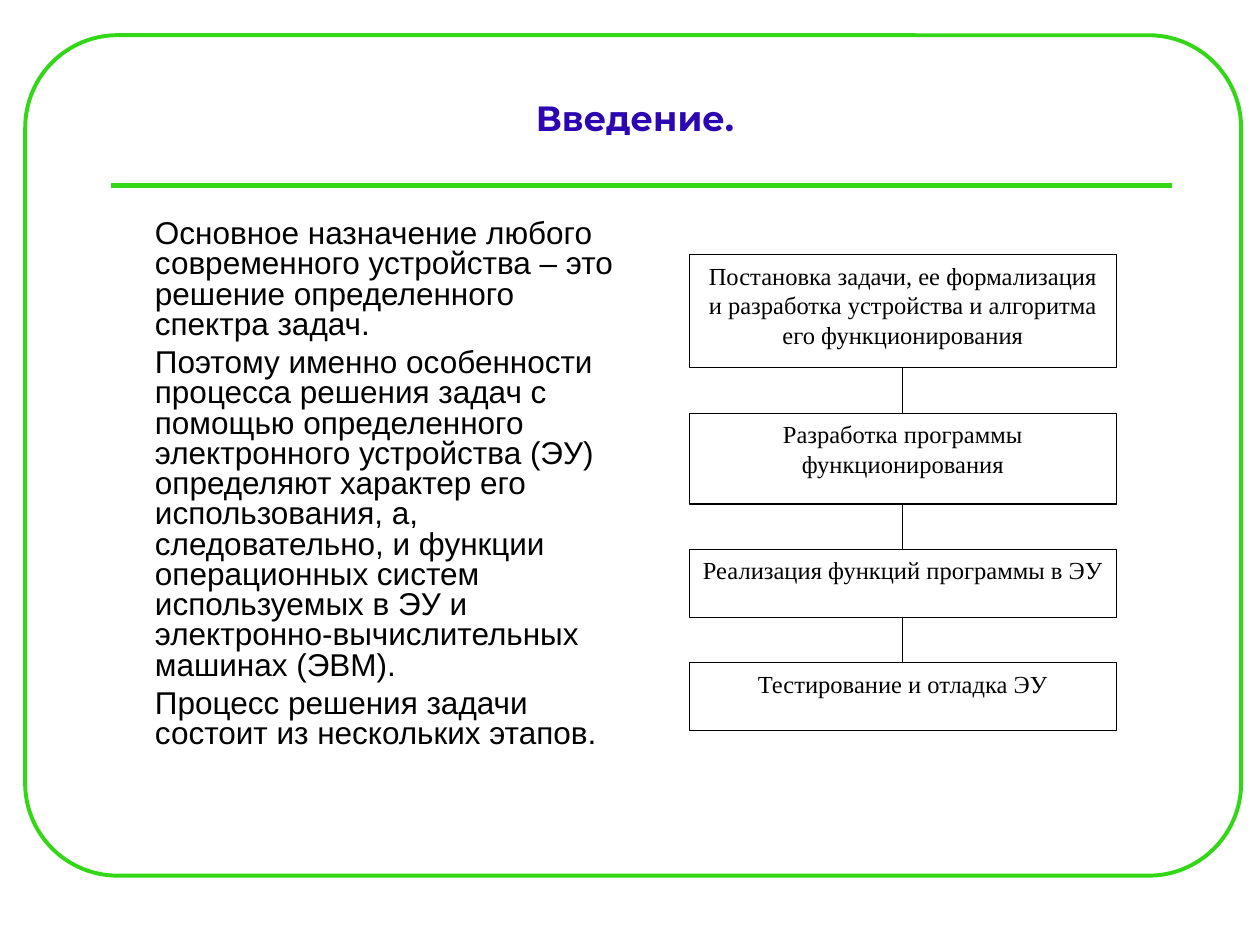
from lxml import etree
from pptx import Presentation
from pptx.dml.color import RGBColor
from pptx.enum import shapes, text
from pptx.oxml.ns import qn
from pptx.util import Inches, Pt

GREEN = RGBColor(0x32, 0xD8, 0x16)
VIOLET = RGBColor(0x2B, 0x06, 0xB2)
BLACK = RGBColor(0, 0, 0)
WHITE = RGBColor(255, 255, 255)


def style(p, font, size, color, bold=False):
    for r in p.runs:
        r.font.name = font
        r.font.size = Pt(size)
        r.font.color.rgb = color
        r.font.bold = bold


def add_line(s, x1, y1, x2, y2, color, width):
    sp = s.shapes.add_connector(shapes.MSO_CONNECTOR.STRAIGHT,
                                Inches(x1), Inches(y1), Inches(x2), Inches(y2))
    sp.line.color.rgb = color
    sp.line.width = Pt(width)
    etree.SubElement(sp._element.spPr, qn("a:effectLst"))


prs = Presentation()
prs.slide_width = Inches(10)
prs.slide_height = Inches(7.5)
s = prs.slides.add_slide(prs.slide_layouts[6])

frame = s.shapes.add_shape(shapes.MSO_SHAPE.ROUNDED_RECTANGLE,
                           Inches(0.2), Inches(0.28), Inches(9.65), Inches(6.67))
frame.adjustments[0] = 0.11
frame.shadow.inherit = False
frame.fill.background()
frame.line.color.rgb = GREEN
frame.line.width = Pt(2.25)
add_line(s, 0.88, 1.47, 9.3, 1.47, GREEN, 3)

title = s.shapes.add_textbox(Inches(0.83), Inches(0.68), Inches(8.42), Inches(0.47))
tf = title.text_frame
tf.word_wrap = True
tf.vertical_anchor = text.MSO_ANCHOR.BOTTOM
tf.text = "Введение."
p = tf.paragraphs[0]
p.alignment = text.PP_ALIGN.CENTER
style(p, "Montserrat", 20, VIOLET, True)

PARAGRAPHS = [
    "Основное назначение любого современного устройства – это решение "
    "определенного спектра задач.",
    "Поэтому именно особенности процесса решения задач с помощью определенного "
    "электронного устройства (ЭУ) определяют характер его использования, а, "
    "следовательно, и функции операционных систем используемых в ЭУ и "
    "электронно-вычислительных машинах (ЭВМ).",
    "Процесс решения задачи состоит из нескольких этапов.",
]
body = s.shapes.add_textbox(Inches(0.75), Inches(1.7), Inches(4.32), Inches(4.42))
tf = body.text_frame
tf.word_wrap = True
tf.margin_left = Inches(0.48)
tf.text = "\n".join(PARAGRAPHS)
for i, p in enumerate(tf.paragraphs):
    p.line_spacing = 0.8
    if i:
        p.space_before = Pt(4.5)
    style(p, "Arial", 18, BLACK)

STEPS = [
    ("Постановка задачи, ее формализация и разработка устройства и алгоритма "
     "его функционирования", 0.9),
    ("Разработка программы функционирования", 0.72),
    ("Реализация функций программы в ЭУ", 0.54),
    ("Тестирование и отладка ЭУ", 0.54),
]
LEFT, WIDTH, GAP = 5.47, 3.39, 0.36
top = 2.02
for i, (label, height) in enumerate(STEPS):
    if i:
        add_line(s, LEFT + WIDTH / 2, top - GAP, LEFT + WIDTH / 2, top, BLACK, 0.75)
    sp = s.shapes.add_shape(shapes.MSO_SHAPE.RECTANGLE, Inches(LEFT), Inches(top),
                            Inches(WIDTH), Inches(height))
    sp.shadow.inherit = False
    sp.fill.solid()
    sp.fill.fore_color.rgb = WHITE
    sp.line.color.rgb = BLACK
    sp.line.width = Pt(0.75)
    tf = sp.text_frame
    tf.word_wrap = True
    tf.vertical_anchor = text.MSO_ANCHOR.TOP
    tf.text = label
    p = tf.paragraphs[0]
    p.alignment = text.PP_ALIGN.CENTER
    style(p, "Times New Roman", 14, BLACK)
    top += height + GAP

prs.save("out.pptx")
